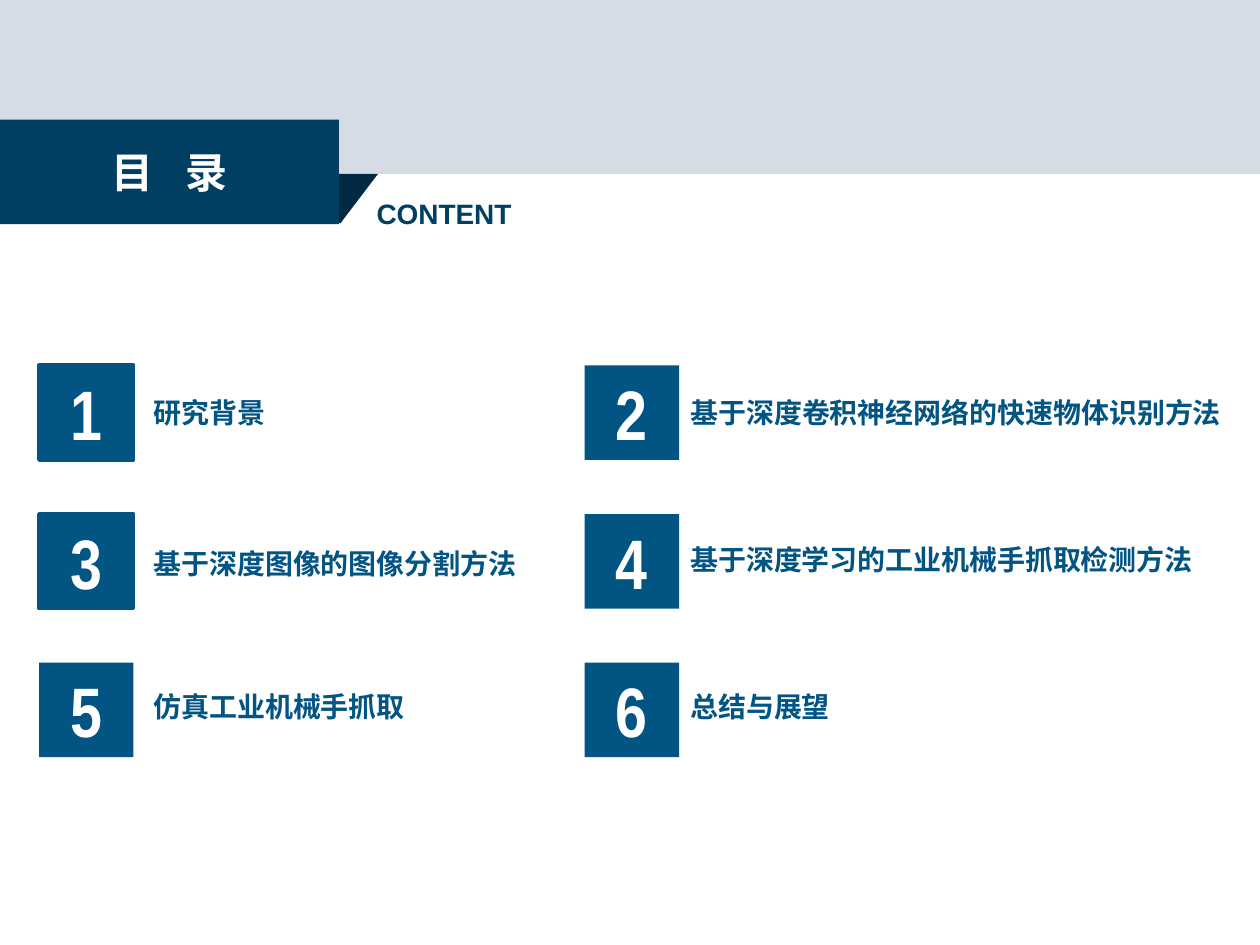
from lxml.etree import SubElement
from pptx import Presentation
from pptx.dml.color import RGBColor
from pptx.enum.lang import MSO_LANGUAGE_ID as Lang
from pptx.enum.shapes import MSO_SHAPE as Shape
from pptx.enum.text import MSO_ANCHOR as Anchor, MSO_AUTO_SIZE as AutoSize, PP_ALIGN as Align
from pptx.oxml.ns import qn
from pptx.util import Inches, Pt

PALE = RGBColor(0xD6, 0xDC, 0xE5)
FOLD = RGBColor(0x01, 0x2A, 0x42)
NAVY = RGBColor(0x01, 0x3F, 0x62)
BLUE = RGBColor(0x02, 0x54, 0x83)
WHITE = RGBColor(0xFF, 0xFF, 0xFF)
CJK = "Noto Sans CJK SC"


def write(shape, *runs, size=16, color=BLUE, align=Align.LEFT, anchor=Anchor.TOP, inset=(0.1, 0.05)):
    """Fill a shape with one bold paragraph made of (text, font name) runs."""
    frame = shape.text_frame
    frame.word_wrap = True
    frame.auto_size = AutoSize.NONE
    frame.vertical_anchor = anchor
    frame.margin_left = frame.margin_right = Inches(inset[0])
    frame.margin_top = frame.margin_bottom = Inches(inset[1])
    paragraph = frame.paragraphs[0]
    paragraph.alignment = align
    for text, font_name in runs:
        run = paragraph.add_run()
        run.text = text
        run.font.size = Pt(size)
        run.font.bold = True
        run.font.color.rgb = color
        run.font.name = font_name
        run.font.language_id = Lang.SIMPLIFIED_CHINESE
        SubElement(run._r.get_or_add_rPr(), qn("a:ea"), typeface=CJK)


def add_block(kind, left, top, width, height, fill):
    block = slide.shapes.add_shape(kind, Inches(left), Inches(top), Inches(width), Inches(height))
    block.shadow.inherit = False
    block.fill.solid()
    block.fill.fore_color.rgb = fill
    block.line.fill.background()
    return block


prs = Presentation()
prs.slide_width, prs.slide_height = Inches(10), Inches(7.5)
slide = prs.slides.add_slide(prs.slide_layouts[5])

# Header band with the folded title ribbon
add_block(Shape.RECTANGLE, 0, 0, 10, 1.38, PALE)
fold = add_block(Shape.PARALLELOGRAM, 0.01, 1.38, 2.99, 0.39, FOLD)
fold.adjustments[0] = 0.76

title = slide.shapes.title
title.left, title.top, title.width, title.height = Inches(0), Inches(0.95), Inches(2.69), Inches(0.83)
title.fill.solid()
title.fill.fore_color.rgb = NAVY
write(title, ("目 ", "Arial"), ("录", "Arial"), size=24, color=WHITE, align=Align.CENTER, anchor=Anchor.MIDDLE)
# Letter spacing opens the gap between the two characters
title.text_frame.paragraphs[0].runs[0]._r.get_or_add_rPr().set("spc", "667")
title.element.getparent().append(title.element)  # bring in front of the band

subtitle = slide.shapes.add_textbox(Inches(2.89), Inches(1.51), Inches(2.28), Inches(0.37))
write(subtitle, ("CONTENT", "Arial"), color=NAVY)

# Numbered topics, two per row: label top, width, height, runs
topics = [
    (3.14, 2.83, 0.27, [("研究背景", "Arial")]),
    (3.14, 4.68, 0.33, [("基于深度卷积神经网络的", CJK), ("快速物体识别方法", "Arial")]),
    (4.34, 3.36, 0.49, [("基于深度图像的图像分割方法", CJK)]),
    (4.31, 4.43, 0.27, [("基于深度学习的工业机械手抓取检测方法", "Arial")]),
    (5.47, 3.36, 0.27, [("仿真工业机械手抓取", "Arial")]),
    (5.47, 2.83, 0.27, [("总结与展望", "Arial")]),
]
NUMBER_LEFTS = (0.31, 4.64)
LABEL_LEFTS = (1.06, 5.32)
OUTLINED = (1, 3)

for index, (label_top, width, height, runs) in enumerate(topics):
    row, column = divmod(index, 2)
    number = index + 1
    tile = add_block(Shape.RECTANGLE, NUMBER_LEFTS[column], 2.9 + 1.18 * row, 0.75, 0.75, BLUE)
    if number in OUTLINED:
        tile.line.color.rgb = BLUE
        tile.line.width = Pt(2.25)
    write(tile, (str(number), "Arial Narrow"), size=40, color=WHITE, align=Align.CENTER, anchor=Anchor.MIDDLE)

    label = slide.shapes.add_textbox(
        Inches(LABEL_LEFTS[column]), Inches(label_top), Inches(width), Inches(height))
    write(label, *runs, inset=(0.16, 0))

prs.save("out.pptx")
